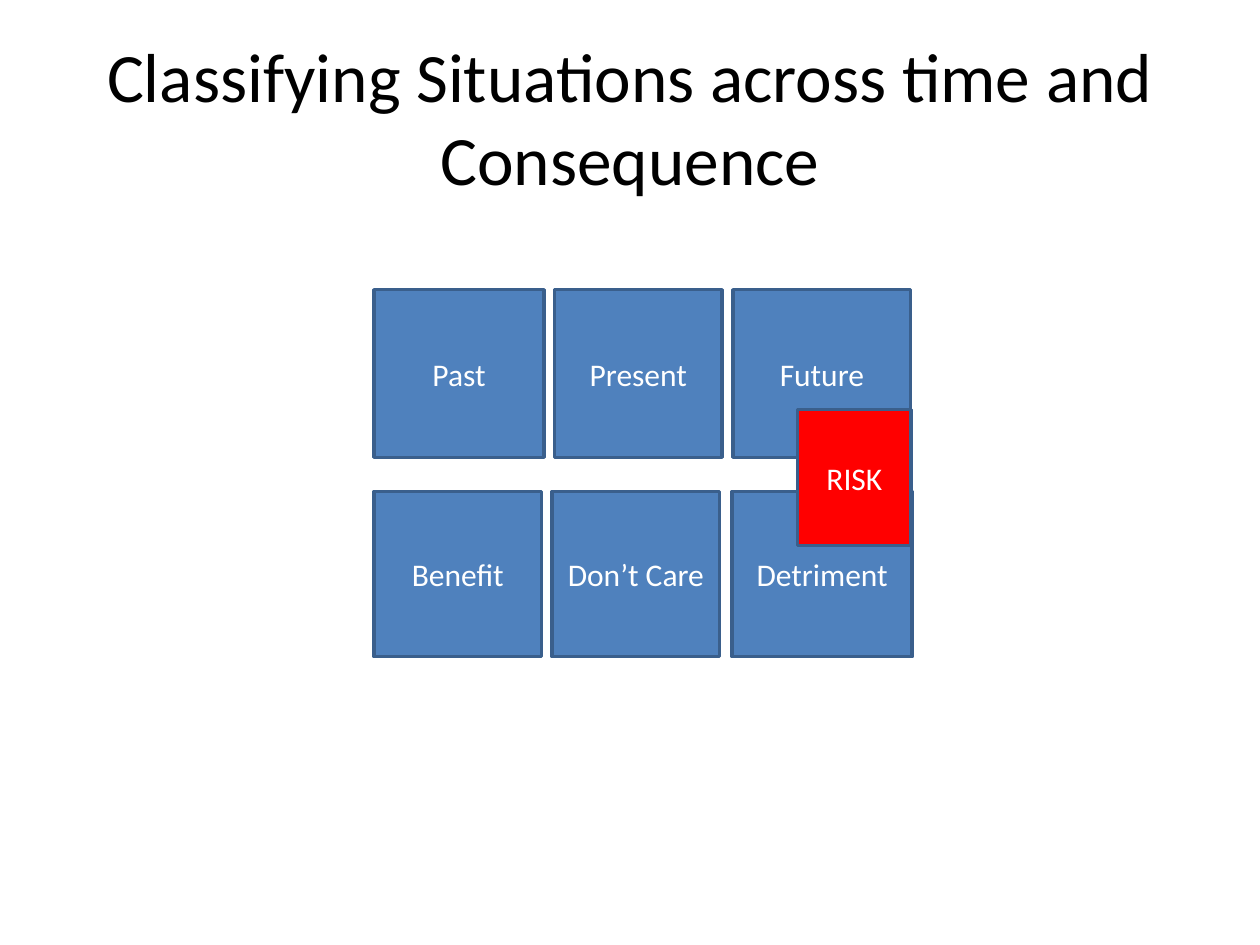
from dataclasses import dataclass

from pptx import Presentation
from pptx.dml.color import RGBColor
from pptx.enum import shapes, text
from pptx.util import Cm, Pt

FONT = "Calibri"
BLACK = RGBColor(0x00, 0x00, 0x00)
WHITE = RGBColor(0xFF, 0xFF, 0xFF)
BLUE = RGBColor(0x4F, 0x81, 0xBD)
DARK_BLUE = RGBColor(0x3A, 0x5F, 0x8C)
RED = RGBColor(0xFF, 0x00, 0x00)


@dataclass(frozen=True)
class Tile:
    label: str
    left: float
    width: float


@dataclass(frozen=True)
class Row:
    top: float
    height: float
    tiles: tuple[Tile, ...]


TIME = Row(5.84, 3.38, (
    Tile("Past", 7.54, 3.43),
    Tile("Present", 11.18, 3.38),
    Tile("Future", 14.78, 3.58),
))
CONSEQUENCE = Row(9.91, 3.33, (
    Tile("Benefit", 7.54, 3.38),
    Tile("Don’t Care", 11.13, 3.38),
    Tile("Detriment", 14.76, 3.63),
))
RISK = Row(8.26, 2.74, (Tile("RISK", 16.08, 2.29),))


def write_centred(box, label: str, size: float, color: RGBColor) -> None:
    frame = box.text_frame
    frame.word_wrap = True
    frame.vertical_anchor = text.MSO_ANCHOR.MIDDLE
    para = frame.paragraphs[0]
    para.text = label
    para.alignment = text.PP_ALIGN.CENTER
    para.font.name = FONT
    para.font.size = Pt(size)
    para.font.color.rgb = color


def draw_row(page, row: Row, fill: RGBColor) -> None:
    for tile in row.tiles:
        box = page.shapes.add_shape(
            shapes.MSO_SHAPE.RECTANGLE,
            Cm(tile.left), Cm(row.top), Cm(tile.width), Cm(row.height))
        box.shadow.inherit = False
        box.fill.solid()
        box.fill.fore_color.rgb = fill
        box.line.color.rgb = DARK_BLUE
        box.line.width = Pt(2)
        write_centred(box, tile.label, 18, WHITE)


def main() -> None:
    deck = Presentation()
    deck.slide_width, deck.slide_height = Cm(25.4), Cm(19.05)
    page = deck.slides.add_slide(deck.slide_layouts[6])

    title = page.shapes.add_textbox(Cm(1.27), Cm(0.76), Cm(22.86), Cm(3.18))
    write_centred(title, "Classifying Situations across time and Consequence",
                  39.6, BLACK)

    draw_row(page, TIME, BLUE)
    draw_row(page, CONSEQUENCE, BLUE)
    draw_row(page, RISK, RED)
    deck.save("out.pptx")


if __name__ == "__main__":
    main()
